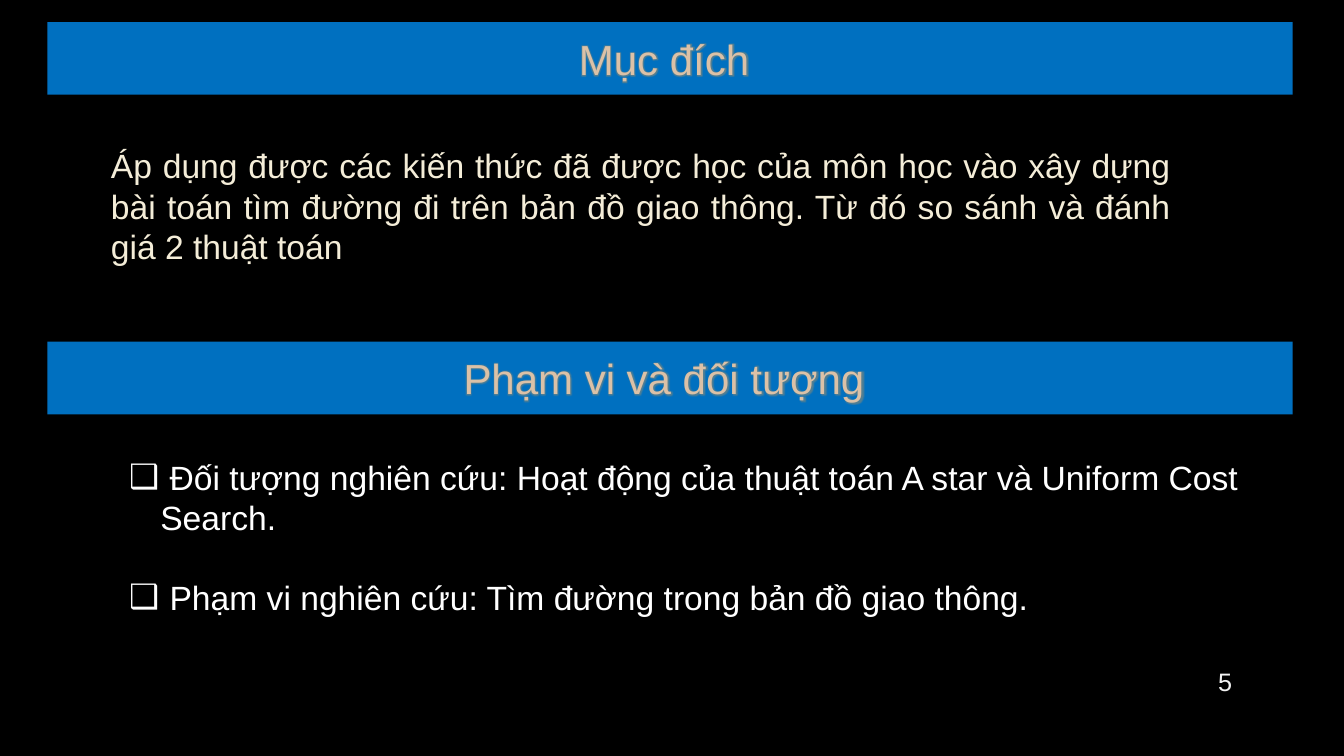
from lxml import etree
from pptx import Presentation
from pptx import util as u
from pptx.dml.color import RGBColor
from pptx.enum import shapes, text
from pptx.oxml.ns import qn

THEME = dict(font="Arial", page="000000", bar="0070C0", heading="DBC1A7",
             lead="F4EDD8", item="FFFFFF", number="F2F2F2", edge="404040",
             glow="8C8A74", heading_pt=30, body_pt=24, number_pt=18)
rgb = RGBColor.from_string


def write(sp, box, paras, role, size, anchor=text.MSO_ANCHOR.TOP, bullet=None, **fmt):
    """Place a shape and fill it with evenly formatted paragraphs."""
    sp.left, sp.top, sp.width, sp.height = (u.Inches(v) for v in box)
    tf = sp.text_frame
    frame = dict(word_wrap=True, auto_size=text.MSO_AUTO_SIZE.NONE, vertical_anchor=anchor)
    for name, value in frame.items():
        setattr(tf, name, value)
    for i, line in enumerate(paras):
        p = tf.paragraphs[0] if i == 0 else tf.add_paragraph()
        pPr = p._p.get_or_add_pPr()
        hang = u.Inches(0.31) if bullet else 0
        pPr.set("marL", str(hang))
        pPr.set("indent", str(-hang))
        mark = etree.SubElement(pPr, qn("a:buChar" if bullet else "a:buNone"))
        if bullet:
            mark.set("char", bullet)
        para = dict(space_before=u.Pt(0), space_after=u.Pt(0), line_spacing=1.0) | fmt
        if i == 0:
            para["space_before"] = u.Pt(0)
        for name, value in para.items():
            setattr(p, name, value)
        r = p.add_run()
        r.text = line
        for name, value in dict(name=THEME["font"], size=u.Pt(size), bold=False).items():
            setattr(r.font, name, value)
        r.font.color.rgb = rgb(THEME[role])


def add_color(parent, color, alpha):
    clr = etree.SubElement(parent, qn("a:srgbClr"), val=color)
    etree.SubElement(clr, qn("a:alpha"), val=str(alpha * 1000))


prs = Presentation()
prs.slide_width, prs.slide_height = u.Inches(13.33), u.Inches(7.5)
s = prs.slides.add_slide(prs.slide_layouts[3])
s.background.fill.solid()
s.background.fill.fore_color.rgb = rgb(THEME["page"])
title, lead, items = s.placeholders

# Heading bars: the title and a second bar below it
second = s.shapes.add_shape(shapes.MSO_SHAPE.RECTANGLE, 0, 0, 0, 0)
second.shadow.inherit = False
for sp, top, label in ((title, 0.22, "Mục đích "), (second, 3.39, "Phạm vi và đối tượng ")):
    write(sp, (0.47, top, 12.35, 0.72), [label], "heading", THEME["heading_pt"],
          text.MSO_ANCHOR.MIDDLE, alignment=text.PP_ALIGN.CENTER, space_after=u.Pt(6))
    sp.fill.solid()
    sp.fill.fore_color.rgb = rgb(THEME["bar"])
    sp.line.fill.background()

# Purpose
write(lead, (1, 1.39, 10.71, 1.63),
      ["Áp dụng được các kiến thức đã được học của môn học vào xây dựng bài toán "
       "tìm đường đi trên bản đồ giao thông. Từ đó so sánh và đánh giá 2 thuật toán "],
      "lead", THEME["body_pt"], alignment=text.PP_ALIGN.JUSTIFY, space_after=u.Pt(6))

# Faint outline on headings and purpose, halo on headings only
for sp in (title, second, lead):
    rPr = sp.text_frame.paragraphs[0].runs[0].font._element
    ln = etree.Element(qn("a:ln"), w=str(u.Pt(0.75)))
    add_color(etree.SubElement(ln, qn("a:solidFill")), THEME["edge"], 10)
    rPr.insert(0, ln)
    if sp is not lead:
        effects = etree.Element(qn("a:effectLst"))
        glow = etree.SubElement(effects, qn("a:glow"), rad=str(u.Pt(3)))
        add_color(glow, THEME["glow"], 60)
        rPr.insert(2, effects)

# Scope and subject
write(items, (1.18, 4.48, 11.64, 1.72),
      [" Đối tượng nghiên cứu: Hoạt động của thuật toán A star và Uniform Cost Search.",
       " Phạm vi nghiên cứu: Tìm đường trong bản đồ giao thông."],
      "item", THEME["body_pt"], bullet="❑",
      alignment=text.PP_ALIGN.LEFT, space_before=u.Pt(28))

# Page number
number = s.shapes.add_textbox(0, 0, 0, 0)
write(number, (11.5, 6.56, 0.82, 0.4), ["5"], "number", THEME["number_pt"],
      text.MSO_ANCHOR.MIDDLE, alignment=text.PP_ALIGN.RIGHT)

prs.save("out.pptx")
